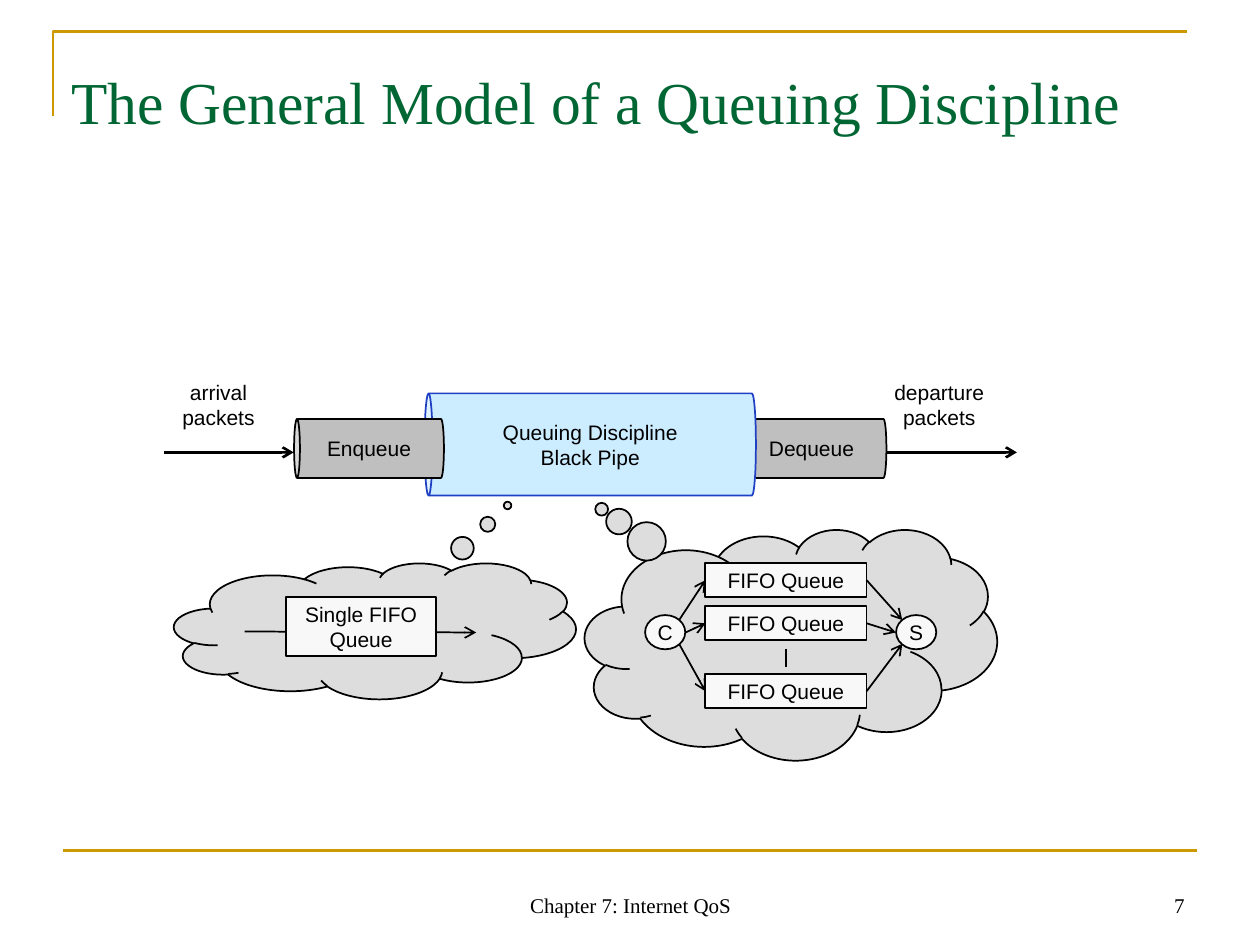
from lxml.etree import SubElement
from pptx import Presentation
from pptx.dml.color import RGBColor
from pptx.enum.shapes import MSO_CONNECTOR, MSO_SHAPE
from pptx.enum.text import MSO_ANCHOR, PP_ALIGN
from pptx.oxml.ns import qn
from pptx.util import Cm, Pt

COLORS = {
    "gold": "CC9900", "green": "006633", "black": "000000", "cloud": "DDDDDD",
    "pipe": "BFBFBF", "blue": "CCECFF", "blue_edge": "2040C4", "paper": "F8F8F8",
}
SERIF, SANS = "Times New Roman", "Arial"

TITLE = "The General Model of a Queuing Discipline"
FOOTER = "Chapter 7: Internet QoS"
PAGE_NUMBER = "7"

CORNER = [(1.07, 2.34), (1.07, 0.64), (23.93, 0.64)]
CLOUDS = [
    ((11.79, 10.67, 8.31, 4.65), (-0.459, -0.587)),
    ((3.51, 11.35, 8.1, 2.74), (0.33, -0.923)),
]
PIPES = [
    ("Dequeue", (16.36, 9.04), 3.02, 1.19, 0.099, "pipe", "black"),
    ("Queuing Discipline\vBlack Pipe", (11.9, 8.96), 6.68, 2.06, 0.078, "blue", "blue_edge"),
    ("Enqueue", (7.44, 9.04), 3.02, 1.19, 0.099, "pipe", "black"),
]
LABELS = [
    ("arrival packets", (3.3, 7.52, 2.21, 1.27)),
    ("departure packets", (17.65, 7.52, 2.57, 1.27)),
]
FLOW_STARTS, FLOW_Y, FLOW_LENGTH = [3.3, 17.88], 9.12, 2.62

QUEUE_LEFT, QUEUE_WIDTH, QUEUE_HEIGHT = 14.22, 3.25, 0.69
QUEUE_TOPS = [11.35, 12.22, 13.59]
NODE_WIDTH, NODE_TOP = 0.81, 12.4
CLASSIFIER_X, SCHEDULER_X = 13.41, 18.47
NODE_PORTS = [(0.28, 12.5), (0.41, 12.75), (0.28, 12.98)]

deck = Presentation()
deck.slide_width, deck.slide_height = Cm(25.4), Cm(19.05)
page = deck.slides.add_slide(deck.slide_layouts[6])


def color(name):
    return RGBColor.from_string(COLORS[name])


def centered(x, y, width, height):
    return x - width / 2, y - height / 2, width, height


def write(box, text, size=12, font=SANS, ink="black", align=PP_ALIGN.CENTER,
          anchor=MSO_ANCHOR.MIDDLE, wrap=True):
    frame = box.text_frame
    frame.word_wrap = wrap
    frame.vertical_anchor = anchor
    frame.text = text
    for paragraph in frame.paragraphs:
        paragraph.alignment = align
        for span in paragraph.runs:
            span.font.size = Pt(size)
            span.font.name = font
            span.font.color.rgb = color(ink)


def add_text(bounds, text, **style):
    write(page.shapes.add_textbox(*map(Cm, bounds)), text, **style)


def add_shape(kind, bounds, fill, edge="black", adjustments=()):
    shape = page.shapes.add_shape(kind, *map(Cm, bounds))
    shape.shadow.inherit = False
    shape.fill.solid()
    shape.fill.fore_color.rgb = color(fill)
    shape.line.color.rgb = color(edge)
    shape.line.width = Pt(1)
    for index, value in enumerate(adjustments):
        shape.adjustments[index] = value
    return shape


def add_line(start, end, width=1, ink="black", arrow=True):
    line = page.shapes.add_connector(MSO_CONNECTOR.STRAIGHT, *map(Cm, (*start, *end)))
    line.line.color.rgb = color(ink)
    line.line.width = Pt(width)
    if arrow:
        SubElement(line.line._get_or_add_ln(), qn("a:tailEnd"), type="arrow")
    SubElement(line._element.spPr, qn("a:effectLst"))


points = [(Cm(x), Cm(y)) for x, y in CORNER]
builder = page.shapes.build_freeform(*points[0])
builder.add_line_segments(points[1:], close=False)
corner = builder.convert_to_shape()
corner.shadow.inherit = False
corner.fill.background()
corner.line.color.rgb = color("gold")
corner.line.width = Pt(1.5)
add_line((1.27, 17.15), (24.13, 17.15), 1.5, "gold", arrow=False)

add_text((1.19, 1.19, 22.86, 2.59), TITLE, size=34, font=SERIF, ink="green",
         align=PP_ALIGN.LEFT, anchor=MSO_ANCHOR.TOP)
add_text((8.69, 17.35, 8.05, 1.27), FOOTER, font=SERIF, anchor=MSO_ANCHOR.BOTTOM)
add_text((18.21, 17.35, 5.92, 1.27), PAGE_NUMBER, font=SERIF,
         align=PP_ALIGN.RIGHT, anchor=MSO_ANCHOR.BOTTOM)

for bounds, pointer in CLOUDS:
    add_shape(MSO_SHAPE.CLOUD_CALLOUT, bounds, "cloud", adjustments=pointer)

for text, center, length, diameter, rim, fill, edge in PIPES:
    pipe = add_shape(MSO_SHAPE.CAN, centered(*center, diameter, length), fill, edge, [rim])
    pipe.rotation = 270
    add_text(centered(*center, length, diameter), text)

for x in FLOW_STARTS:
    add_line((x, FLOW_Y), (x + FLOW_LENGTH, FLOW_Y), 1.5)
for text, bounds in LABELS:
    add_text(bounds, text, anchor=MSO_ANCHOR.TOP)

add_line((4.93, 12.73), (9.6, 12.75))
write(add_shape(MSO_SHAPE.RECTANGLE, (5.77, 12.04, 3.02, 1.19), "paper"), "Single FIFO Queue")

for name, x in [("C", CLASSIFIER_X), ("S", SCHEDULER_X)]:
    bounds = (x - NODE_WIDTH / 2, NODE_TOP, NODE_WIDTH, QUEUE_HEIGHT)
    write(add_shape(MSO_SHAPE.OVAL, bounds, "paper"), name, wrap=False)

for top, (offset, port_y) in zip(QUEUE_TOPS, NODE_PORTS):
    bounds = (QUEUE_LEFT, top, QUEUE_WIDTH, QUEUE_HEIGHT)
    write(add_shape(MSO_SHAPE.RECTANGLE, bounds, "paper"), "FIFO Queue")
    middle = top + QUEUE_HEIGHT / 2
    add_line((CLASSIFIER_X + offset, port_y), (QUEUE_LEFT, middle))
    add_line((QUEUE_LEFT + QUEUE_WIDTH, middle), (SCHEDULER_X - offset, port_y))

add_line((15.85, 13.08), (15.85, 13.44), arrow=False)

deck.save("out.pptx")
